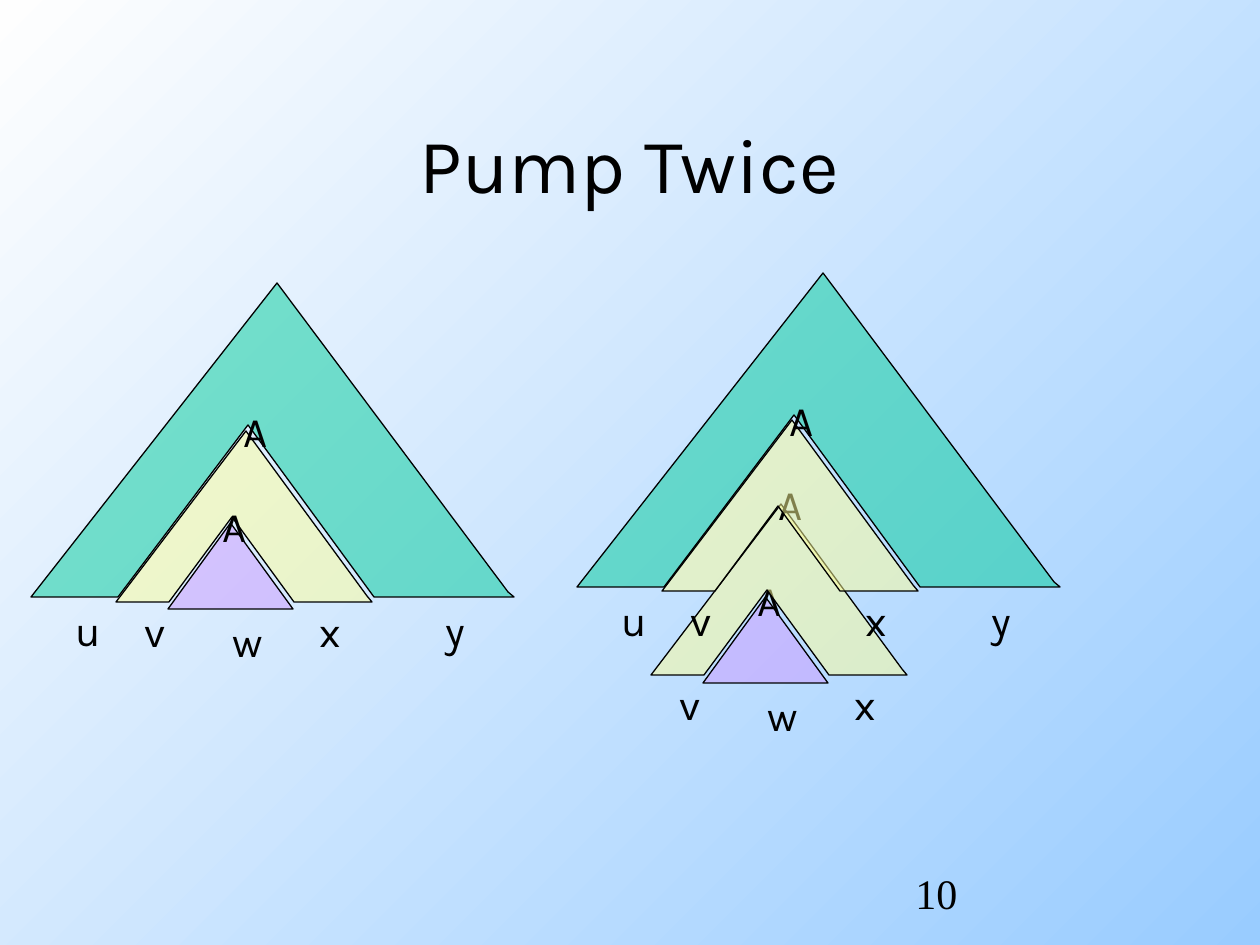
from lxml.etree import SubElement
from pptx import Presentation
from pptx.dml.color import RGBColor
from pptx.enum.shapes import MSO_SHAPE
from pptx.enum.text import MSO_ANCHOR, MSO_AUTO_SIZE, PP_ALIGN
from pptx.oxml.ns import qn
from pptx.util import Emu, Pt

PX = 914400 / 126
OUTER = [(87, 314), (0, 314), (246, 0), (477, 309), (483, 314), (343, 314), (217, 142)]
MIDDLE = [(53, 171), (0, 171), (130, 0), (251, 165), (256, 171), (178, 171), (116, 86)]
LETTER_WIDTHS = {"u": 50, "v": 47, "w": 58, "x": 47, "y": 47, "A": 52}


def px(length):
    """Turn pixels into EMU."""
    return Emu(round(length * PX))


def rgb(color):
    """Turn a hex string into a colour."""
    return RGBColor.from_string(color)


def write(frame, text, font="Karla", size=24, color="000000", align=PP_ALIGN.LEFT):
    """Put formatted text in a text frame."""
    paragraph = frame.paragraphs[0]
    paragraph.text = text
    paragraph.alignment = align
    paragraph.font.name = font
    paragraph.font.size = Pt(size)
    paragraph.font.color.rgb = rgb(color)


def add_letter(shapes, letter, left, top):
    """Add a one-letter label that fits its text."""
    label = shapes.add_textbox(px(left), px(top), px(LETTER_WIDTHS[letter]), px(63))
    label.text_frame.word_wrap = False
    label.text_frame.auto_size = MSO_AUTO_SIZE.SHAPE_TO_FIT_TEXT
    write(label.text_frame, letter)


def paint(part, color):
    """Give a tree part a half transparent fill and a thin black outline."""
    part.shadow.inherit = False
    part.fill.solid()
    part.fill.fore_color.rgb = rgb(color)
    fill_color = part.fill._xPr.find(qn("a:solidFill"))[0]
    SubElement(fill_color, qn("a:alpha"), val="50000")
    part.line.color.rgb = rgb("000000")
    part.line.width = Pt(0.75)


def add_chevron(shapes, outline, left, top, color):
    """Add a triangle with a notch cut from its base."""
    builder = shapes.build_freeform(*outline[0], scale=PX)
    builder.add_line_segments(outline[1:], close=True)
    paint(builder.convert_to_shape(px(left), px(top)), color)


def add_outer_tree(slide, left, top):
    """Add the whole parse tree with u and y below it."""
    shapes = slide.shapes.add_group_shape().shapes
    add_chevron(shapes, OUTER, left, top, "00CC99")
    add_letter(shapes, "u", left + 32, top + 315)
    add_letter(shapes, "y", left + 402, top + 315)


def add_middle_tree(slide, left, top):
    """Add the pumped subtree with A at its root and v and x below it."""
    shapes = slide.shapes.add_group_shape().shapes
    add_chevron(shapes, MIDDLE, left, top, "FFFF99")
    add_letter(shapes, "A", left + 115, top - 32)
    add_letter(shapes, "v", left + 16, top + 168)
    add_letter(shapes, "x", left + 191, top + 168)


def add_inner_tree(slide, left, top):
    """Add the innermost subtree with A at its root and w below it."""
    shapes = slide.shapes.add_group_shape().shapes
    tree = shapes.add_shape(
        MSO_SHAPE.ISOSCELES_TRIANGLE, px(left), px(top), px(125), px(86))
    paint(tree, "CC99FF")
    add_letter(shapes, "A", left + 42, top - 29)
    add_letter(shapes, "w", left + 52, top + 86)


def set_background(slide):
    """Fill the background with a diagonal gradient."""
    fill = slide.background.fill
    fill.gradient()
    fill.gradient_angle = 135
    for stop, position, color in zip(fill.gradient_stops, (0, 1), ("99CCFF", "FEFEFE")):
        stop.position = position
        stop.color.rgb = rgb(color)


def add_title(slide, text):
    """Place and format the title."""
    title = slide.shapes.title
    title.left, title.top, title.width, title.height = map(px, (94, 84, 1071, 158))
    title.text_frame.vertical_anchor = MSO_ANCHOR.MIDDLE
    write(title.text_frame, text, size=44, align=PP_ALIGN.CENTER)


def add_page_number(slide, number):
    """Add the page number at the bottom."""
    page = slide.shapes.add_textbox(px(903), px(861), px(262), px(63))
    page.text_frame.word_wrap = True
    write(page.text_frame, number, font="Times New Roman")


def main():
    """Build the slide and save it."""
    deck = Presentation()
    deck.slide_width, deck.slide_height = px(1260), px(945)
    slide = deck.slides.add_slide(deck.slide_layouts[5])
    set_background(slide)
    add_title(slide, "Pump Twice")
    add_outer_tree(slide, 31, 283)
    add_middle_tree(slide, 116, 431)
    add_inner_tree(slide, 168, 523)
    add_outer_tree(slide, 577, 273)
    add_inner_tree(slide, 703, 597)
    add_middle_tree(slide, 651, 504)
    add_middle_tree(slide, 662, 420)
    add_page_number(slide, "10")
    deck.save("out.pptx")


if __name__ == "__main__":
    main()
